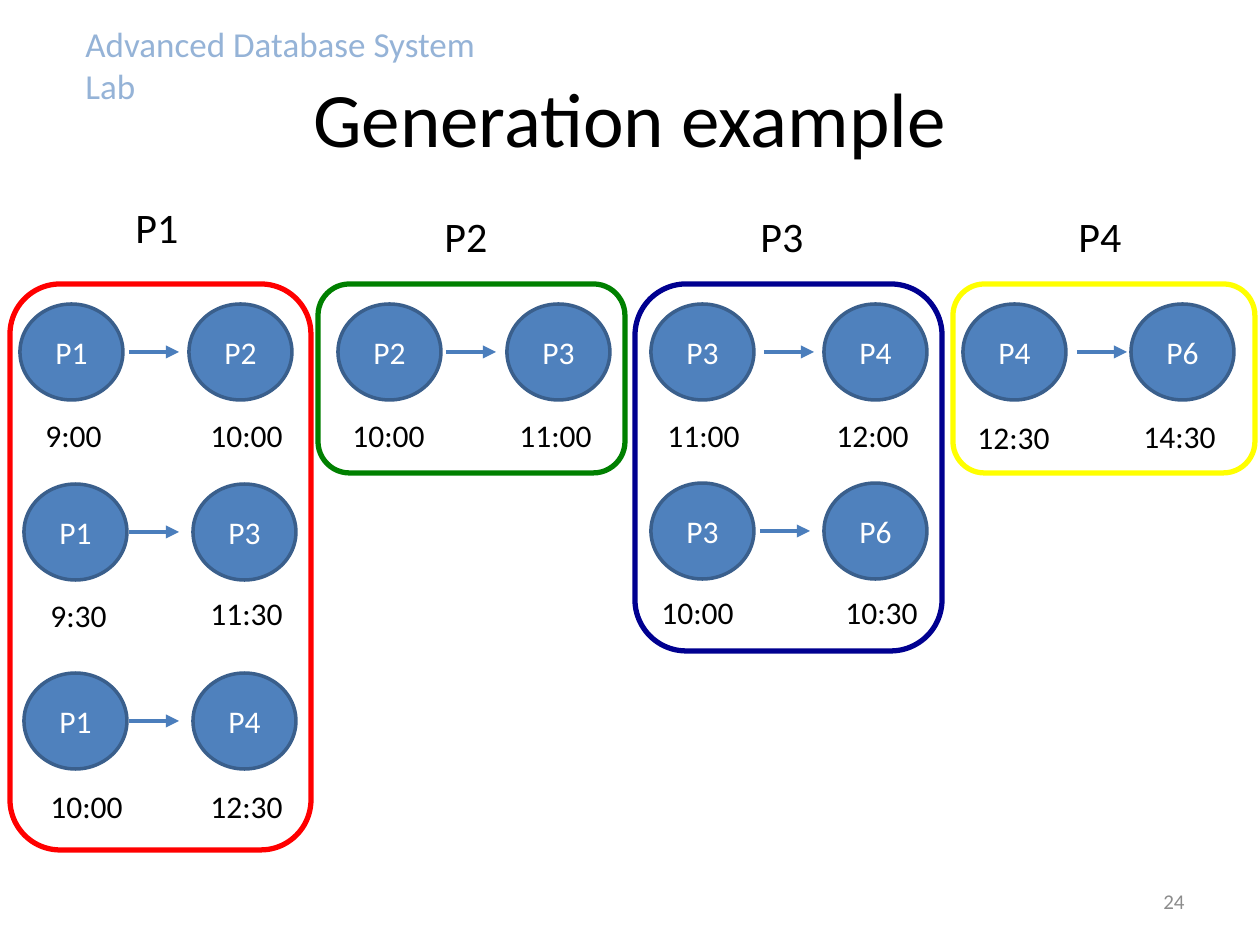
import pptx
import pptx.util
import pptx.dml.color
import pptx.enum.shapes
import pptx.enum.text
from lxml import etree

RGBColor = pptx.dml.color.RGBColor
MSO_SHAPE = pptx.enum.shapes.MSO_SHAPE
PP_ALIGN = pptx.enum.text.PP_ALIGN
MSO_ANCHOR = pptx.enum.text.MSO_ANCHOR

BLACK = RGBColor(0x00, 0x00, 0x00)
WHITE = RGBColor(0xFF, 0xFF, 0xFF)
GRAY = RGBColor(0x8C, 0x8C, 0x8C)
PALE_BLUE = RGBColor(0x95, 0xB3, 0xD7)
NODE_FILL = RGBColor(0x4F, 0x81, 0xBD)
NODE_LINE = RGBColor(0x3A, 0x5F, 0x8C)
ARROW = RGBColor(0x4B, 0x7E, 0xBC)
RED = RGBColor(0xFF, 0x00, 0x00)
GREEN = RGBColor(0x00, 0x80, 0x00)
NAVY = RGBColor(0x00, 0x00, 0x90)
YELLOW = RGBColor(0xFF, 0xFF, 0x00)

PX = 914400 / 126
NODE_W, NODE_H = 103, 96
ARROW_W = 50
A = "http://schemas.openxmlformats.org/drawingml/2006/main"


def emu(*lengths):
    return [round(n * PX) for n in lengths]


def put_text(sp, text, size, color, align=PP_ALIGN.LEFT, anchor=MSO_ANCHOR.TOP, wrap=True):
    tf = sp.text_frame
    tf.word_wrap = wrap
    tf.vertical_anchor = anchor
    p = tf.paragraphs[0]
    p.text = text
    p.alignment = align
    p.font.name = "Calibri"
    p.font.size = pptx.util.Pt(size)
    p.font.color.rgb = color


prs = pptx.Presentation()
prs.slide_width, prs.slide_height = emu(1260, 945)
s = prs.slides.add_slide(prs.slide_layouts[6])

# Header, title and slide number
sp = s.shapes.add_textbox(*emu(73, 16, 437, 55))
put_text(sp, "Advanced Database System Lab", 20, PALE_BLUE)
sp = s.shapes.add_textbox(*emu(63, 38, 1134, 157))
put_text(sp, "Generation example", 44, BLACK, PP_ALIGN.CENTER, MSO_ANCHOR.MIDDLE)
sp = s.shapes.add_textbox(*emu(903, 876, 294, 50))
put_text(sp, "24", 12, GRAY, PP_ALIGN.RIGHT, MSO_ANCHOR.MIDDLE)

# Connections: node top, arrow left, then (name, node left, time, time left, time top) twice
connections = [
    (304, 129, ("P1", 20, "9:00", 33, 410), ("P2", 189, "10:00", 198, 410)),
    (484, 129, ("P1", 24, "9:30", 38, 590), ("P3", 193, "11:30", 198, 588)),
    (673, 129, ("P1", 24, "10:00", 38, 781), ("P4", 193, "12:30", 198, 781)),
    (304, 446, ("P2", 338, "10:00", 340, 410), ("P3", 507, "11:00", 507, 410)),
    (304, 764, ("P3", 651, "11:00", 655, 410), ("P4", 824, "12:00", 824, 410)),
    (483, 760, ("P3", 651, "10:00", 649, 587), ("P6", 824, "10:30", 833, 587)),
    (304, 1077, ("P4", 963, "12:30", 965, 412), ("P6", 1131, "14:30", 1131, 411)),
]
for top, arrow_x, start, end in connections:
    for name, x, time, time_x, time_y in (start, end):
        sp = s.shapes.add_shape(MSO_SHAPE.OVAL, *emu(x, top, NODE_W, NODE_H))
        sp.shadow.inherit = False
        sp.fill.solid()
        sp.fill.fore_color.rgb = NODE_FILL
        sp.line.color.rgb = NODE_LINE
        sp.line.width = pptx.util.Pt(2)
        put_text(sp, name, 18, WHITE, PP_ALIGN.CENTER, MSO_ANCHOR.MIDDLE)
        sp = s.shapes.add_textbox(*emu(time_x, time_y, 120, 50))
        put_text(sp, time, 18, BLACK)

    y = top + NODE_H // 2
    line = s.shapes.add_connector(pptx.enum.shapes.MSO_CONNECTOR.STRAIGHT,
                                  *emu(arrow_x, y, arrow_x + ARROW_W, y))
    line.line.color.rgb = ARROW
    line.line.width = pptx.util.Pt(2.5)
    etree.SubElement(line.line._get_or_add_ln(), f"{{{A}}}tailEnd", type="triangle")
    etree.SubElement(line._element.spPr, f"{{{A}}}effectLst")

# Group frames and their headings
groups = [
    ("P1", 123, 195, 10, 301, 566, RED),
    ("P2", 432, 204, 318, 307, 189, GREEN),
    ("P3", 748, 204, 635, 307, 367, NAVY),
    ("P4", 1066, 204, 953, 302, 189, YELLOW),
]
for name, name_x, name_y, x, w, h, color in groups:
    sp = s.shapes.add_shape(MSO_SHAPE.ROUNDED_RECTANGLE, *emu(x, 284, w, h))
    sp.shadow.inherit = False
    sp.fill.background()
    sp.line.color.rgb = color
    sp.line.width = pptx.util.Pt(3)
    sp = s.shapes.add_textbox(*emu(name_x, name_y, 69, 63))
    put_text(sp, name, 24, BLACK, wrap=False)

prs.save("out.pptx")
